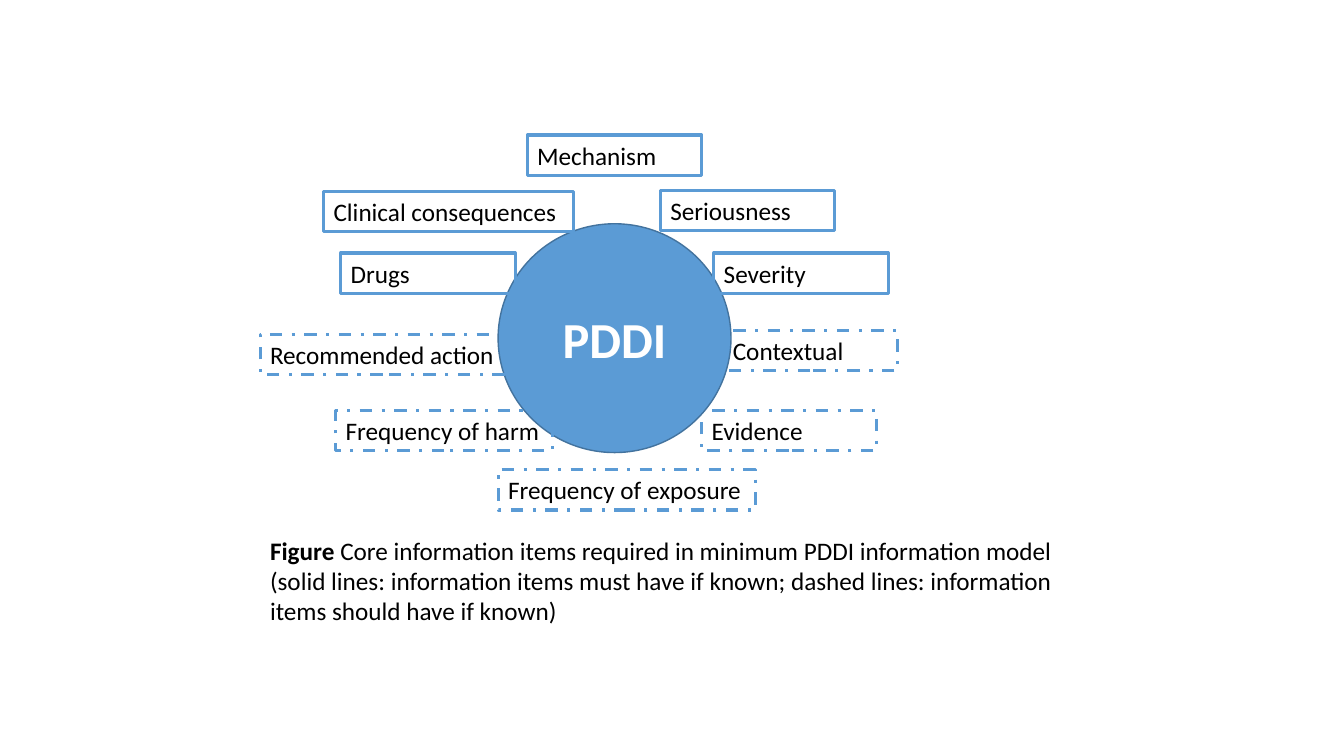
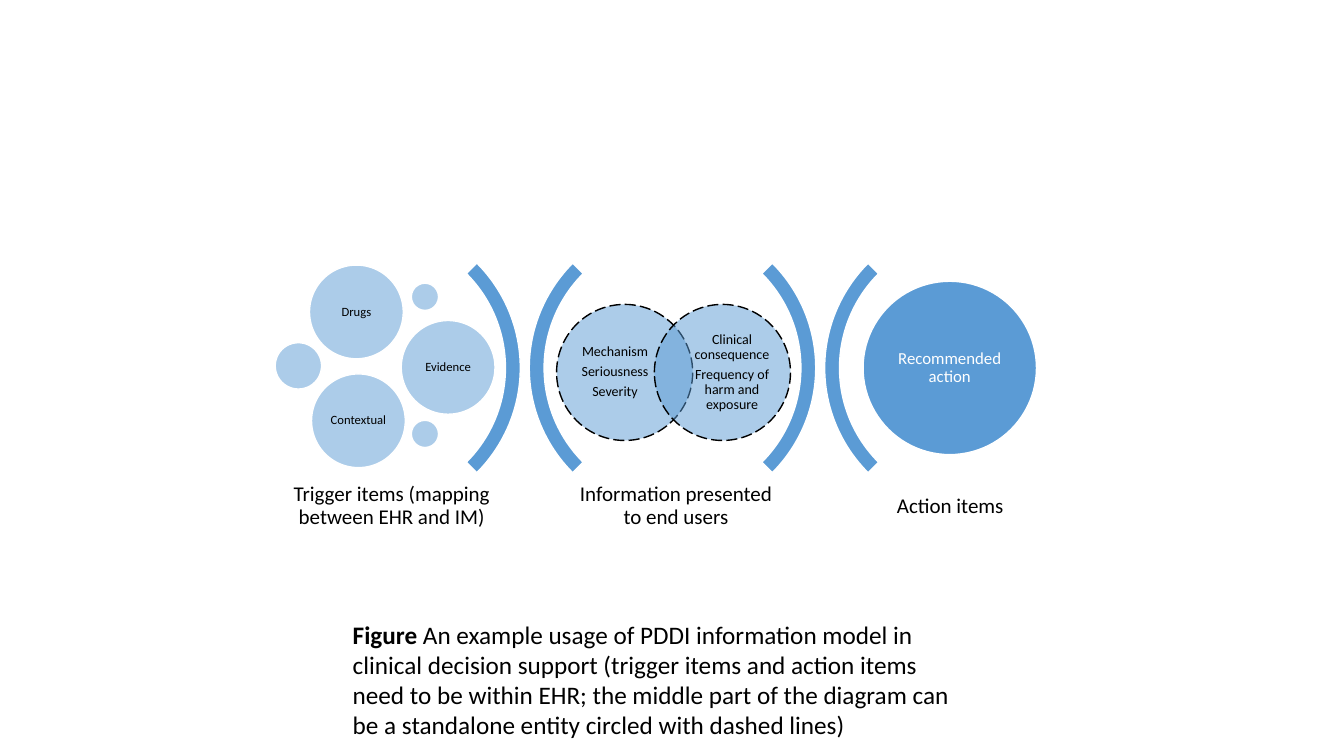
import dataclasses

import lxml.etree
import pptx
import pptx.dml.color
import pptx.enum.dml
import pptx.enum.shapes
import pptx.enum.text
import pptx.oxml.ns
import pptx.util

Inches = pptx.util.Inches
Pt = pptx.util.Pt
Shapes = pptx.enum.shapes.MSO_SHAPE
Dashes = pptx.enum.dml.MSO_LINE
Anchor = pptx.enum.text.MSO_ANCHOR
Align = pptx.enum.text.PP_ALIGN
AutoSize = pptx.enum.text.MSO_AUTO_SIZE


@dataclasses.dataclass(frozen=True)
class Theme:
    font: str = "Calibri"
    blue: str = "5B9BD5"
    dark_blue: str = "43739E"
    white: str = "FFFFFF"
    black: str = "000000"
    hub_size: int = 36
    body_size: int = 18
    stage_size: int = 15
    action_size: int = 12
    venn_size: int = 10
    bubble_size: int = 9
    thin: float = 1
    thick: float = 2.25


def color(value):
    return pptx.dml.color.RGBColor.from_string(value)


def write_text(frame, paragraphs, *, font, size, fill, bold=False, lead="",
               align=Align.LEFT, anchor=Anchor.TOP, inset=None, tight=False, grow=False):
    frame.word_wrap = True
    frame.vertical_anchor = anchor
    frame.auto_size = AutoSize.SHAPE_TO_FIT_TEXT if grow else AutoSize.NONE
    if inset is not None:
        frame.margin_left = frame.margin_right = Inches(inset)
        frame.margin_top = frame.margin_bottom = Inches(inset)
    for index, text in enumerate(paragraphs):
        paragraph = frame.add_paragraph() if index else frame.paragraphs[0]
        paragraph.alignment = align
        if tight:
            paragraph.line_spacing = 0.9
            paragraph.space_after = Pt(0.35 * size)
        for words, weight in ((lead, True), (text, bold)):
            if words:
                run = paragraph.add_run()
                run.text = words
                run.font.name = font
                run.font.size = Pt(size)
                run.font.bold = weight
                run.font.color.rgb = color(fill)


class Deck:
    def __init__(self, theme):
        self.theme = theme
        self.presentation = pptx.Presentation()
        self.presentation.slide_width = Inches(13.33)
        self.presentation.slide_height = Inches(7.5)
        self.slide = None

    def new_slide(self):
        self.slide = self.presentation.slides.add_slide(self.presentation.slide_layouts[6])

    def shape(self, kind, box, *, fill=None, opacity=100, line, width, dash=None):
        shape = self.slide.shapes.add_shape(kind, *map(Inches, box))
        shape.shadow.inherit = False
        if fill:
            shape.fill.solid()
            shape.fill.fore_color.rgb = color(fill)
            if opacity < 100:
                tint = shape.fill._xPr.find(".//" + pptx.oxml.ns.qn("a:srgbClr"))
                alpha = lxml.etree.SubElement(tint, pptx.oxml.ns.qn("a:alpha"))
                alpha.set("val", str(opacity * 1000))
        else:
            shape.fill.background()
        shape.line.color.rgb = color(line)
        shape.line.width = Pt(width)
        if dash:
            shape.line.dash_style = dash
        return shape

    def text(self, frame, paragraphs, size, **options):
        settings = {"font": self.theme.font, "fill": self.theme.black, **options}
        write_text(frame, paragraphs, size=size, **settings)

    def centered(self, frame, paragraphs, size, inset, **options):
        self.text(frame, paragraphs, size, inset=inset, align=Align.CENTER,
                  anchor=Anchor.MIDDLE, tight=True, **options)

    def text_box(self, box):
        return self.slide.shapes.add_textbox(*map(Inches, box)).text_frame

    def caption(self, box, text):
        self.text(self.text_box(box), [text], self.theme.body_size, lead="Figure", grow=True)

    def hub(self, box, text):
        theme = self.theme
        circle = self.shape(Shapes.OVAL, box, fill=theme.blue, line=theme.dark_blue, width=theme.thin)
        self.text(circle.text_frame, [text], theme.hub_size, fill=theme.white, bold=True,
                  align=Align.CENTER, anchor=Anchor.MIDDLE)

    def item(self, left, top, width, text, dash=None):
        theme = self.theme
        box = self.shape(Shapes.RECTANGLE, (left, top, width, 0.4),
                         line=theme.blue, width=theme.thick, dash=dash)
        self.text(box.text_frame, [text], theme.body_size, grow=True)

    def bracket(self, left, rotation):
        theme = self.theme
        arc = self.shape(Shapes.BLOCK_ARC, (left, 2.18, 2.94, 2.94),
                         fill=theme.blue, line=theme.white, width=theme.thin)
        arc.rotation = rotation
        for index, value in enumerate((135, 189, 0.05)):
            arc.adjustments[index] = value

    def stage_label(self, left, text):
        self.centered(self.text_box((left, 4.73, 2.23, 0.59)), [text], self.theme.stage_size, 0.06)

    def bubble(self, left, top, diameter, text=None):
        theme = self.theme
        circle = self.shape(Shapes.OVAL, (left, top, diameter, diameter), fill=theme.blue,
                            opacity=50, line=theme.white, width=theme.thin)
        if text:
            self.centered(circle.text_frame, [text], theme.bubble_size, 0.04)

    def venn_circle(self, left, text_left, paragraphs):
        theme = self.theme
        self.shape(Shapes.OVAL, (left, 3.02, 1.35, 1.35), fill=theme.blue, opacity=50,
                   line=theme.black, width=theme.thin, dash=Dashes.LONG_DASH)
        self.centered(self.text_box((text_left, 3.18, 0.78, 1.03)), paragraphs, theme.venn_size, 0)

    def action(self, box, text):
        theme = self.theme
        circle = self.shape(Shapes.OVAL, box, fill=theme.blue, line=theme.white, width=theme.thin)
        self.centered(circle.text_frame, [text], theme.action_size, 0.05, fill=theme.white)


REQUIRED_ITEMS = [
    (3.38, 2.51, 1.73, "Drugs"),
    (3.21, 1.9, 2.48, "Clinical consequences"),
    (5.23, 1.34, 1.73, "Mechanism"),
    (6.55, 1.89, 1.73, "Seriousness"),
    (7.08, 2.51, 1.73, "Severity"),
]
DESIRED_ITEMS = [
    (2.58, 3.32, 2.43, "Recommended action"),
    (7.17, 3.28, 1.73, "Contextual"),
    (6.96, 4.07, 1.73, "Evidence"),
    (3.33, 4.07, 2.15, "Frequency of harm"),
    (4.94, 4.66, 2.55, "Frequency of exposure"),
]
STAGES = [
    (2.77, "Trigger items (mapping between EHR and IM)"),
    (5.59, "Information presented to end users"),
    (8.31, "Action items"),
]
TRIGGER_BUBBLES = [
    (3.07, 2.63, 0.93, "Drugs"),
    (2.73, 3.4, 0.46),
    (4.08, 2.81, 0.27),
    (3.98, 3.18, 0.93, "Evidence"),
    (4.08, 4.17, 0.27),
    (3.09, 3.71, 0.93, "Contextual"),
]


def build_information_model(deck):
    deck.new_slide()
    deck.hub((4.94, 2.22, 2.31, 2.27), "PDDI")
    for item in REQUIRED_ITEMS:
        deck.item(*item)
    for item in DESIRED_ITEMS:
        deck.item(*item, dash=Dashes.DASH_DOT)
    deck.caption((2.58, 5.26, 8.17, 1.01),
                 " Core information items required in minimum PDDI information model "
                 "(solid lines: information items must have if known; dashed lines: "
                 "information items should have if known)")


def build_decision_support(deck):
    deck.new_slide()
    for closing_left in (2.22, 5.15):
        deck.bracket(closing_left, 90)
        deck.bracket(closing_left + 3.03, 270)
    for stage in STAGES:
        deck.stage_label(*stage)
    deck.venn_circle(5.52, 5.71, ["Mechanism", "Seriousness", "Severity"])
    deck.venn_circle(6.49, 6.87, ["Clinical consequence", "Frequency of harm and exposure"])
    for bubble in TRIGGER_BUBBLES:
        deck.bubble(*bubble)
    deck.action((8.56, 2.79, 1.72, 1.72), "Recommended action")
    deck.caption((3.4, 6.09, 6.21, 1.31),
                 " An example usage of PDDI information model in clinical decision support "
                 "(trigger items and action items need to be within EHR; the middle part of "
                 "the diagram can be a standalone entity circled with dashed lines)")


deck = Deck(Theme())
build_information_model(deck)
build_decision_support(deck)
deck.presentation.save("out.pptx")
